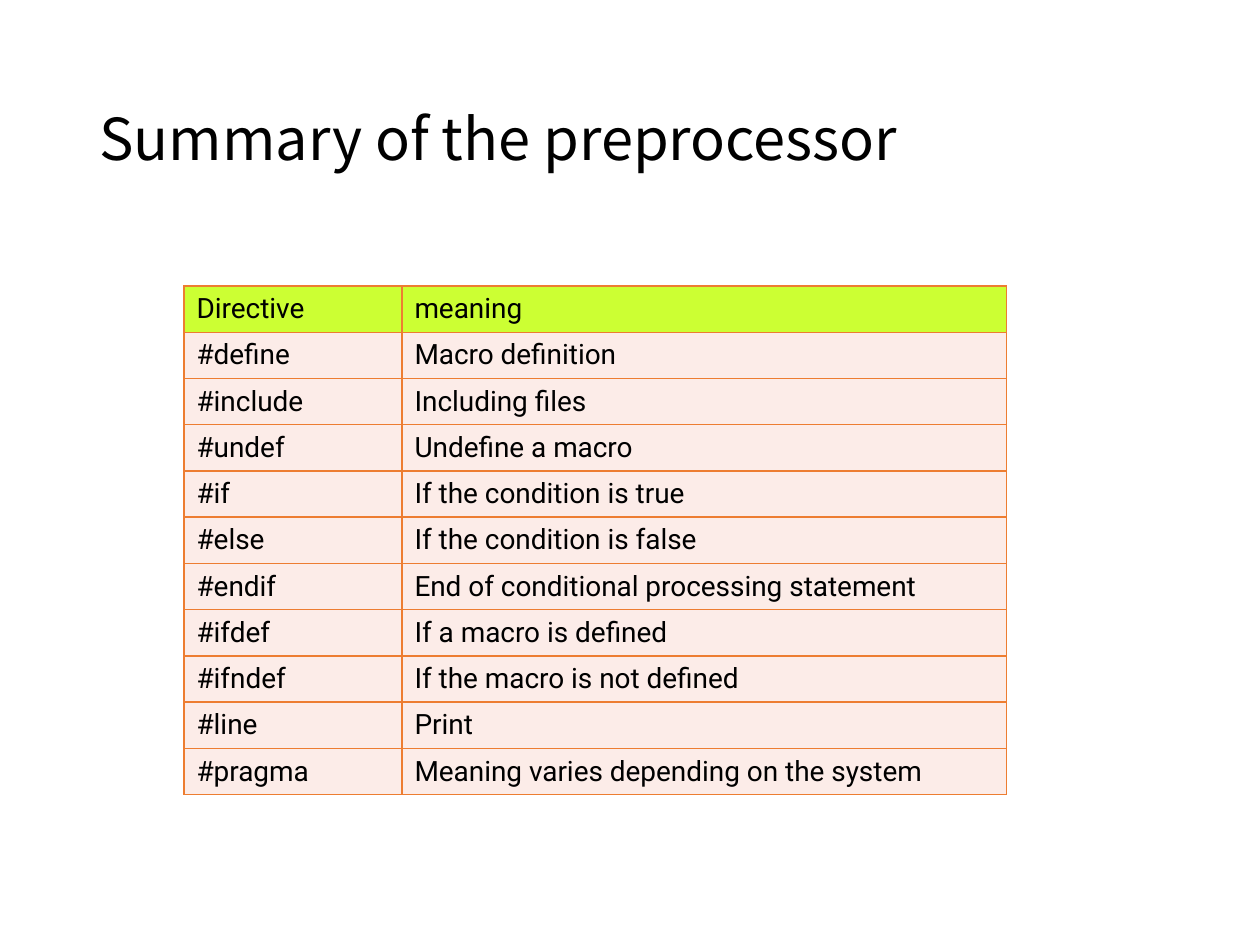
"""Build a slide with a table that sums up the preprocessor directives."""
from lxml.etree import SubElement
from pptx import Presentation
from pptx.dml.color import RGBColor
from pptx.enum.text import MSO_ANCHOR, PP_ALIGN
from pptx.oxml.ns import qn
from pptx.util import Inches, Pt

BLACK = RGBColor(0x00, 0x00, 0x00)
LIME = RGBColor(0xCC, 0xFF, 0x33)
PINK = RGBColor(0xFC, 0xEC, 0xE8)
ORANGE = RGBColor(0xED, 0x7D, 0x31)

ROWS = [
    ("Directive", "meaning"),
    ("#define", "Macro definition"),
    ("#include", "Including files"),
    ("#undef", "Undefine a macro"),
    ("#if", "If the condition is true"),
    ("#else", "If the condition is false"),
    ("#endif", "End of conditional processing statement"),
    ("#ifdef", "If a macro is defined"),
    ("#ifndef", "If the macro is not defined"),
    ("#line", "Print"),
    ("#pragma", "Meaning varies depending on the system"),
]
WIDTHS = (1.73, 4.8)


def style(para, name, size):
    para.font.name = name
    para.font.size = Pt(size)
    para.font.color.rgb = BLACK


def border(cell):
    props = cell._tc.get_or_add_tcPr()
    for side in ("lnL", "lnR", "lnT", "lnB"):
        line = SubElement(props, qn(f"a:{side}"), w=str(Pt(1)))
        fill = SubElement(line, qn("a:solidFill"))
        SubElement(fill, qn("a:srgbClr"), val=str(ORANGE))


prs = Presentation()
prs.slide_width = Inches(10)
prs.slide_height = Inches(7.5)
slide = prs.slides.add_slide(prs.slide_layouts[6])

title = slide.shapes.add_textbox(Inches(0.69), Inches(0.4), Inches(8.62), Inches(1.45))
frame = title.text_frame
frame.word_wrap = True
frame.vertical_anchor = MSO_ANCHOR.MIDDLE
para = frame.paragraphs[0]
para.text = "Summary of the preprocessor"
para.line_spacing = 0.9
style(para, "Noto Sans CJK KR", 33)

table = slide.shapes.add_table(
    len(ROWS), len(WIDTHS), Inches(1.46), Inches(2.27), Inches(sum(WIDTHS)), Inches(4.03)
).table
for col, width in zip(table.columns, WIDTHS):
    col.width = Inches(width)

for r, row in enumerate(ROWS):
    for c, text in enumerate(row):
        cell = table.cell(r, c)
        border(cell)
        cell.fill.solid()
        cell.fill.fore_color.rgb = PINK if r else LIME
        cell.vertical_anchor = MSO_ANCHOR.MIDDLE
        para = cell.text_frame.paragraphs[0]
        para.text = text
        para.alignment = PP_ALIGN.JUSTIFY
        props = para._p.get_or_add_pPr()
        props.set("marL", str(Inches(0.38)))
        props.set("indent", str(Inches(-0.38)))
        style(para, "Roboto", 16)

prs.save("out.pptx")
